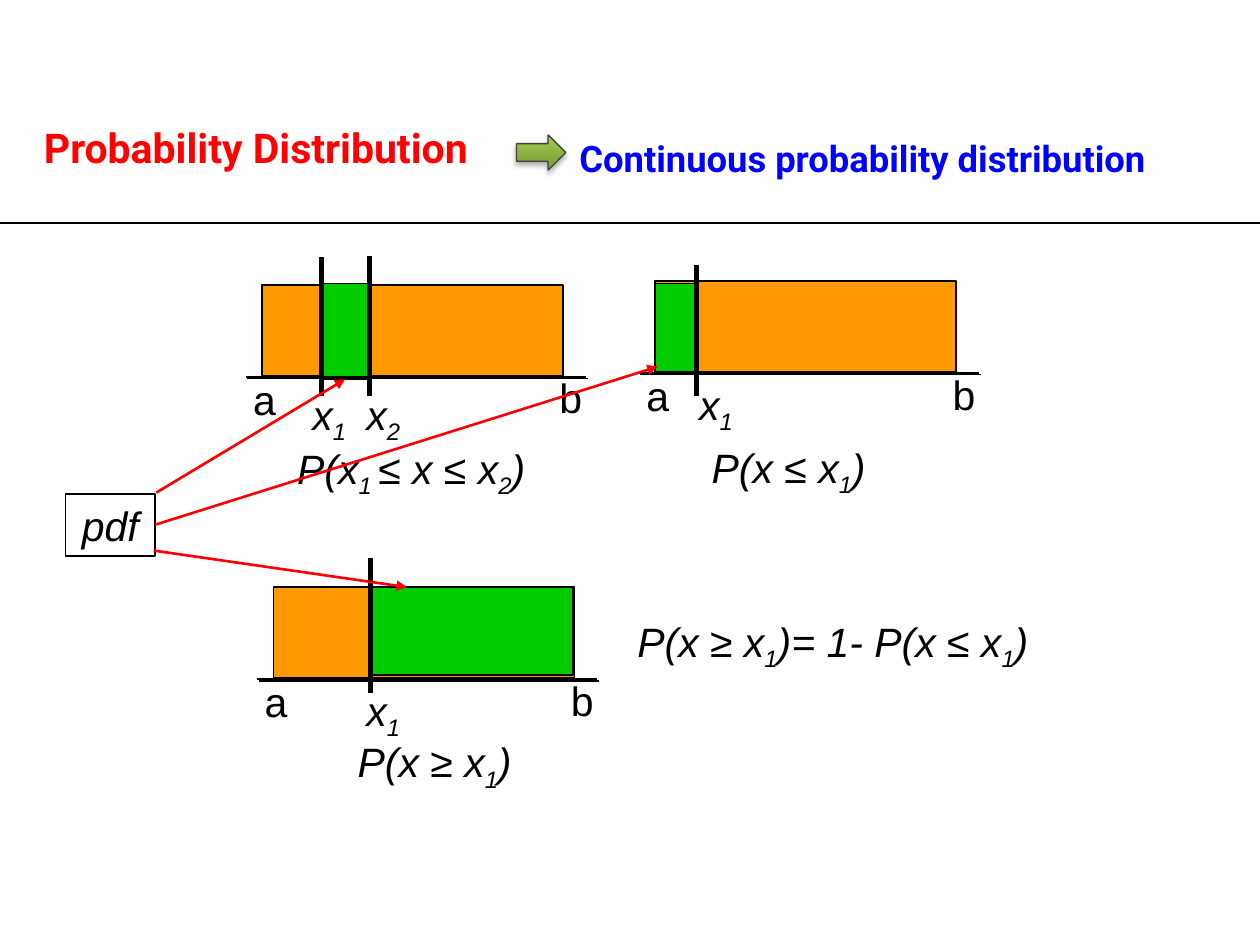
from lxml.etree import SubElement
from pptx import Presentation
from pptx.dml.color import RGBColor
from pptx.enum.shapes import MSO_CONNECTOR, MSO_SHAPE
from pptx.enum.text import MSO_AUTO_SIZE, PP_ALIGN
from pptx.oxml.ns import qn
from pptx.util import Inches, Pt

HUES = {"ink": "000000", "red": "FF0000", "blue": "0000FF", "bar": "FF9900",
        "area": "00CC00", "dark": "779737", "light": "9BC348", "edge": "404040"}
RGB = {name: RGBColor.from_string(code) for name, code in HUES.items()}

deck = Presentation()
deck.slide_width, deck.slide_height = Inches(10), Inches(7.5)
COL, ROW = deck.slide_width / 100, deck.slide_height / 75
slide = deck.slides.add_slide(deck.slide_layouts[6])
shapes = slide.shapes


def grid(x, y, w, h):
    return int(x * COL), int(y * ROW), int(w * COL), int(h * ROW)


def write(words, x, y, w, h, size=23.4, font="Arial", hue="ink", bold=False,
          italic=False, wrap=True, pad=(0.1, 0.05), align=PP_ALIGN.LEFT):
    """Add a text box; the parts of words between underscores are subscripts."""
    box = shapes.add_textbox(*grid(x, y, w, h))
    frame = box.text_frame
    frame.word_wrap = wrap
    frame.auto_size = MSO_AUTO_SIZE.SHAPE_TO_FIT_TEXT
    frame.margin_left = frame.margin_right = Inches(pad[0])
    frame.margin_top = frame.margin_bottom = Inches(pad[1])
    para = frame.paragraphs[0]
    para.alignment = align
    for i, part in enumerate(words.split("_")):
        if not part:
            continue
        run = para.add_run()
        run.text = part
        run.font.size, run.font.name = Pt(size), font
        run.font.bold, run.font.italic = bold, italic
        run.font.color.rgb = RGB[hue]
        if i % 2:
            run.font._element.set("baseline", "-25000")
    return box


# Lines are gathered as (start, end, hue, weight, kind) and drawn per layer.
# Each panel: left, top, green (x, y, w, h), cuts (x, y, end), labels (text, x, y)
panels = [
    (19.5, 22.6, (25.5, 22.5, 3.8, 7.6),
     [(29.3, 20.3, 31.4), (25.5, 20.4, 31.4)],
     [("x_2_", 28.1, 30.4), ("x_1_", 23.8, 30.4)]),
    (50.7, 22.3, (52, 22.5, 3.2, 7),
     [(55.3, 21, 31.4)], [("x_1_", 54.5, 29.6)]),
    (20.4, 46.6, (29.3, 46.6, 16.2, 7),
     [(29.4, 44.3, 55)], [("x_1_", 28.1, 53.9)]),
]
lines, areas = [], []
for left, top, green, cuts, marks in panels:
    base = top + 7.3
    lines.append(((left, base), (left + 27, base), "ink", 1, "base"))
    for spot, hue in (((left + 1.3, top, 23.9, 7.2), "bar"), (green, "area")):
        rect = shapes.add_shape(MSO_SHAPE.RECTANGLE, *grid(*spot))
        rect.shadow.inherit = False
        rect.fill.solid()
        rect.fill.fore_color.rgb = RGB[hue]
        rect.line.color.rgb = RGB["ink"]
        rect.line.width = Pt(1)
    areas.append(rect)
    for x, y, end in cuts:
        lines.append(((x, y), (x, end), "ink", 3, "cut"))
    for word, x, y in (("a", left, top + 6.8), ("b", left + 24.3, top + 6.7)):
        write(word, x, y, 3.1, 4.6, wrap=False, pad=(0.06, 0.03))
    for word, x, y in marks:
        write(word, x, y, 4.9, 4.9, italic=True, wrap=False)

for words, x, y, w in (("P(x_1 _≤ x ≤ x_2_)", 22.6, 34.7, 22.1),
                       ("P(x ≤ x_1_)", 55.5, 34.6, 15),
                       ("P(x ≥ x_1_)", 27.4, 58, 14.5),
                       ("P(x ≥ x_1_)= 1- P(x ≤ x_1_)", 49.6, 48.4, 37.9)):
    write(words, x, y, w, 4.9, italic=True)

pdf = write("pdf", 5.2, 39.2, 7.1, 4.9, italic=True, align=PP_ALIGN.CENTER)
pdf.line.color.rgb = RGB["ink"]
pdf.line.width = Pt(1)

write("Probability Distribution", 2.5, 9.2, 45.2, 4.3,
      font="Roboto", hue="red", bold=True)
write("Continuous probability distribution", 45, 10.3, 52.5, 4.3,
      size=20.8, font="Roboto", hue="blue", bold=True)

arrow = shapes.add_shape(MSO_SHAPE.RIGHT_ARROW, *grid(41, 10.7, 3.9, 2.8))
arrow.shadow.inherit = False
arrow.fill.gradient()
arrow.fill.gradient_angle = 90
for stop, hue, place in zip(arrow.fill.gradient_stops, ("dark", "light"), (0, 0.8)):
    stop.color.rgb = RGB[hue]
    stop.position = place
arrow.line.color.rgb = RGB["edge"]
arrow.line.width = Pt(0.75)

lines += [
    ((12.4, 39.1), (27.4, 30.1), "red", 1.5, "to area"),
    ((12.2, 43.7), (32.3, 46.6), "red", 1.5, "arrow"),
    ((12.3, 41.7), (52.2, 29.1), "red", 1.5, "from pdf"),
    ((0, 17.7), (100, 17.7), "ink", 1.5, "rule"),
]
shades = [(arrow, 3.1, 1.8, 90, 35)]
for start, end, hue, weight, kind in lines:
    line = shapes.add_connector(MSO_CONNECTOR.STRAIGHT, *grid(*start, *end))
    line.line.color.rgb = RGB[hue]
    line.line.width = Pt(weight)
    if hue == "red":
        SubElement(line.line._get_or_add_ln(), qn("a:tailEnd"), type="triangle")
    SubElement(line._element.spPr, qn("a:effectLst"))
    if kind == "base":
        shades.append((line, 0, 1.4, 45, 100))
    elif kind == "to area":
        line.end_connect(areas[0], 2)
    elif kind == "from pdf":
        line.begin_connect(pdf, 3)

for item, blur, dist, angle, alpha in shades:
    shade = SubElement(item._element.spPr.find(qn("a:effectLst")), qn("a:outerShdw"),
                       blurRad=str(Pt(blur)), dist=str(Pt(dist)),
                       dir=str(angle * 60000), rotWithShape="0")
    tint = SubElement(shade, qn("a:srgbClr"), val=HUES["ink"])
    SubElement(tint, qn("a:alpha"), val=str(alpha * 1000))

deck.save("out.pptx")
